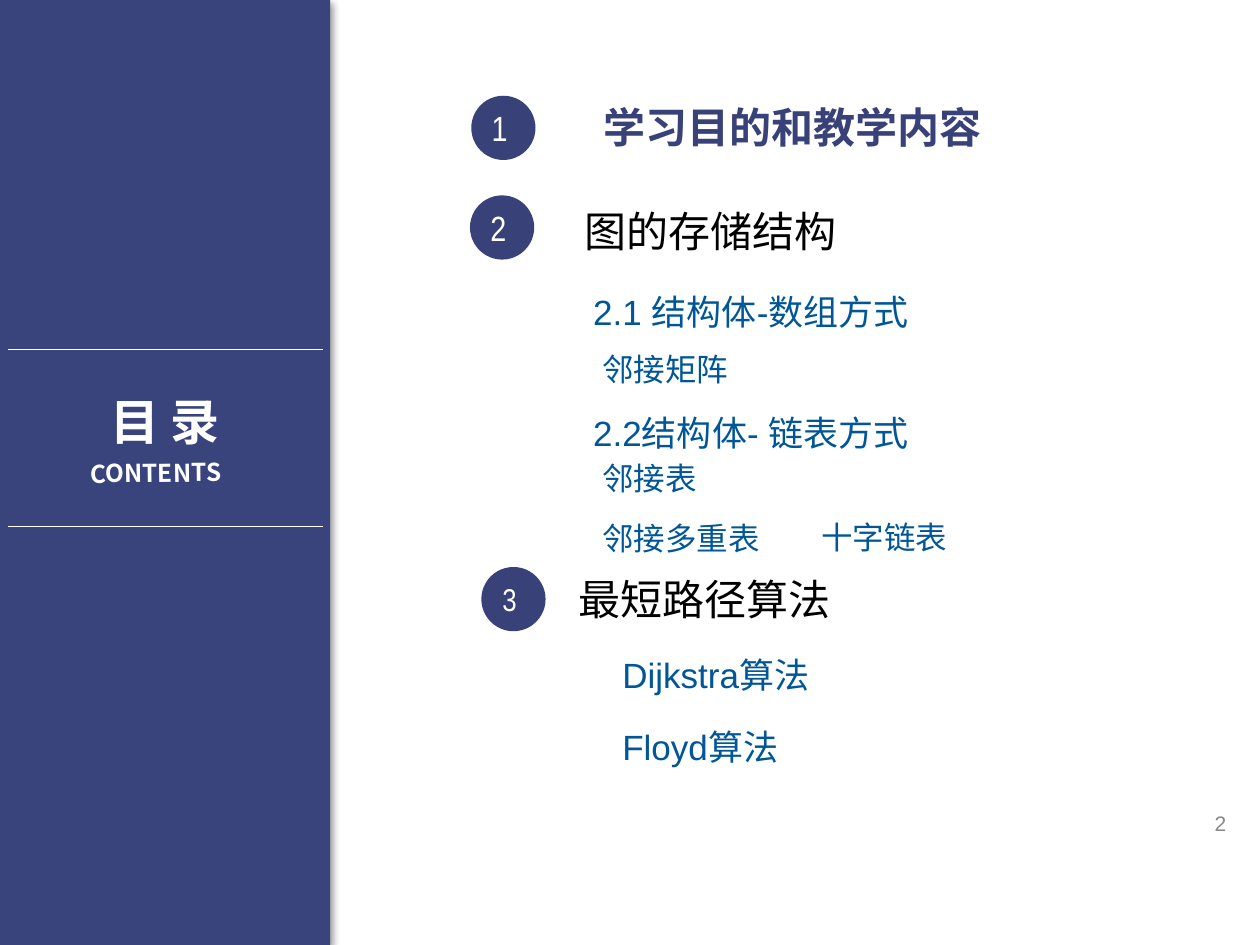
import dataclasses

import lxml.etree
import pptx
import pptx.dml.color
import pptx.enum.shapes
import pptx.enum.text
import pptx.oxml
import pptx.oxml.ns
import pptx.util

ALIGN = pptx.enum.text.PP_ALIGN
ANCHOR = pptx.enum.text.MSO_ANCHOR
SIZE = pptx.enum.text.MSO_AUTO_SIZE
FORM = pptx.enum.shapes.MSO_SHAPE
NS = "http://schemas.openxmlformats.org/drawingml/2006/main"
WIDE, HIGH = 10, 7.5
NAVY, PANEL, BLUE, WHITE, BLACK, GREY = (
    "394179", "39437C", "005696", "FFFFFF", "000000", "898989")
SANS = "Noto Sans CJK SC"


@dataclasses.dataclass
class Box:
    """Left, top, width and height in percent of the slide."""
    x: float
    y: float
    w: float
    h: float


@dataclasses.dataclass
class Style:
    size: float
    color: str
    font: str = "Arial"
    bold: bool = False
    align: ALIGN = ALIGN.LEFT


@dataclasses.dataclass
class Entry:
    text: str
    box: Box
    style: Style


@dataclasses.dataclass
class Badge:
    text: str
    x: float
    y: float
    size: float


HEAD = Style(24, BLACK, SANS)
SUB = Style(20, BLUE)
ITEM = Style(18, BLUE)

ENTRIES = [
    Entry("学习目的和教学内容", Box(46.9, 10.13, 39.8, 6.67),
          Style(24, NAVY, SANS, True)),
    Entry("图的存储结构", Box(45.4, 21.07, 43.4, 6.67), HEAD),
    Entry("2.1 结构体-数组方式", Box(46.1, 30.13, 35.4, 5.87), SUB),
    Entry("邻接矩阵", Box(46.8, 36.4, 50, 5.33), ITEM),
    Entry("2.2结构体- 链表方式", Box(46.1, 42.93, 35.4, 5.87), SUB),
    Entry("邻接表", Box(46.8, 47.87, 50, 5.33), ITEM),
    Entry("邻接多重表", Box(46.8, 54.27, 17, 5.33), ITEM),
    Entry("十字链表", Box(64.2, 54.2, 34, 5.33), ITEM),
    Entry("最短路径算法", Box(44.9, 60, 35, 6.67), HEAD),
    Entry("Dijkstra算法", Box(48.4, 68.53, 39.8, 5.87), SUB),
    Entry("Floyd算法", Box(48.4, 76.13, 39.8, 5.87), SUB),
]
BADGES = [Badge("1", 37.4, 10.13, 20), Badge("2", 37.3, 20.67, 20),
          Badge("3", 38.2, 60, 18)]


def paint(color: str) -> pptx.dml.color.RGBColor:
    return pptx.dml.color.RGBColor.from_string(color)


def across(share: float) -> int:
    return pptx.util.Inches(WIDE * share / 100)


def down(share: float) -> int:
    return pptx.util.Inches(HIGH * share / 100)


def apply(item, values: dict) -> None:
    for name, value in values.items():
        setattr(item, name, value)


def place(box: Box) -> tuple:
    return across(box.x), down(box.y), across(box.w), down(box.h)


def write(shape, text: str, style: Style, **frame) -> None:
    apply(shape.text_frame, {"word_wrap": True, **frame})
    line = shape.text_frame.paragraphs[0]
    line.alignment = style.align
    run = line.add_run()
    run.text = text
    apply(run.font, {"size": pptx.util.Pt(style.size), "bold": style.bold,
                     "name": style.font})
    run.font.color.rgb = paint(style.color)
    east = lxml.etree.SubElement(run.font._element, f"{{{NS}}}ea")
    east.set("typeface", SANS)


def label(slide, entry: Entry, **frame):
    shape = slide.shapes.add_textbox(*place(entry.box))
    write(shape, entry.text, entry.style, **frame)
    return shape


def solid(slide, form: FORM, box: Box, color: str):
    shape = slide.shapes.add_shape(form, *place(box))
    shape.shadow.inherit = False
    shape.fill.solid()
    shape.fill.fore_color.rgb = paint(color)
    shape.line.fill.background()
    return shape


def shade(shape) -> None:
    """Give the shape a soft shadow to its lower right."""
    effects = shape._element.spPr.find(pptx.oxml.ns.qn("a:effectLst"))
    effects.append(pptx.oxml.parse_xml(
        f'<a:outerShdw xmlns:a="{NS}" blurRad="50800" dist="38100" '
        'dir="2700000" algn="tl" rotWithShape="0"><a:srgbClr val="000000">'
        '<a:alpha val="40000"/></a:srgbClr></a:outerShdw>'))


def rule(slide, y: float) -> None:
    line = slide.shapes.add_connector(
        pptx.enum.shapes.MSO_CONNECTOR.STRAIGHT,
        across(0.6), down(y), across(25.6), down(y))
    line.line.color.rgb = paint(WHITE)
    line.line.width = pptx.util.Pt(0.5)
    lxml.etree.SubElement(line._element.spPr, f"{{{NS}}}effectLst")


def mark(slide, badge: Badge) -> None:
    shape = solid(slide, FORM.OVAL, Box(badge.x, badge.y, 5.1, 6.8), NAVY)
    write(shape, badge.text,
          Style(badge.size, WHITE, "Arial Narrow", align=ALIGN.CENTER),
          vertical_anchor=ANCHOR.MIDDLE, margin_left=0, margin_top=0,
          margin_right=across(0.6), margin_bottom=0)


def side(slide) -> None:
    """Draw the panel on the left with the title between two rules."""
    shade(solid(slide, FORM.RECTANGLE, Box(-0.1, 0, 26.3, 100), PANEL))
    for y in (36.93, 55.73):
        rule(slide, y)
    title = slide.shapes.title
    slide.shapes._spTree.append(title._element)
    spot = place(Box(7.7, 40.8, 10.8, 7.6))
    apply(title, dict(zip(("left", "top", "width", "height"), spot)))
    write(title, "目 录", Style(28, WHITE, SANS, True, ALIGN.CENTER),
          word_wrap=False, vertical_anchor=ANCHOR.TOP,
          auto_size=SIZE.SHAPE_TO_FIT_TEXT)
    name = Entry("CONTENTS", Box(0.1, 47.33, 24.5, 5.33),
                 Style(14, WHITE, SANS, True, ALIGN.CENTER))
    label(slide, name, vertical_anchor=ANCHOR.MIDDLE).rotation = 359.3


def main() -> None:
    deck = pptx.Presentation()
    apply(deck, {"slide_width": across(100), "slide_height": down(100)})
    slide = deck.slides.add_slide(deck.slide_layouts.get_by_name("Title Only"))
    side(slide)
    for badge in BADGES:
        mark(slide, badge)
    for entry in ENTRIES:
        label(slide, entry, auto_size=SIZE.SHAPE_TO_FIT_TEXT)
    page = Entry("2", Box(75.8, 84.4, 22.5, 5.33),
                 Style(12, GREY, align=ALIGN.RIGHT))
    label(slide, page, vertical_anchor=ANCHOR.MIDDLE)
    deck.save("out.pptx")


if __name__ == "__main__":
    main()
